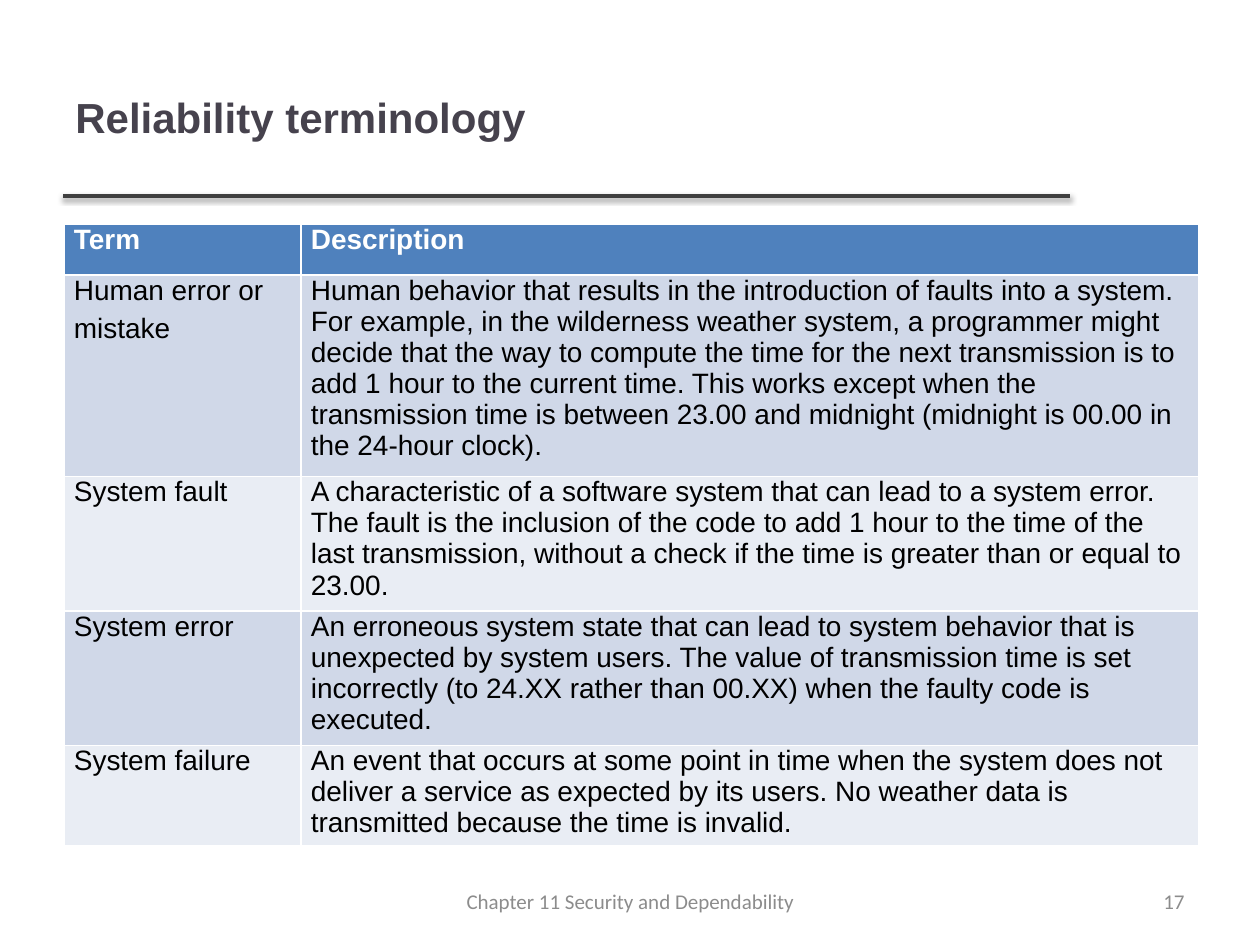
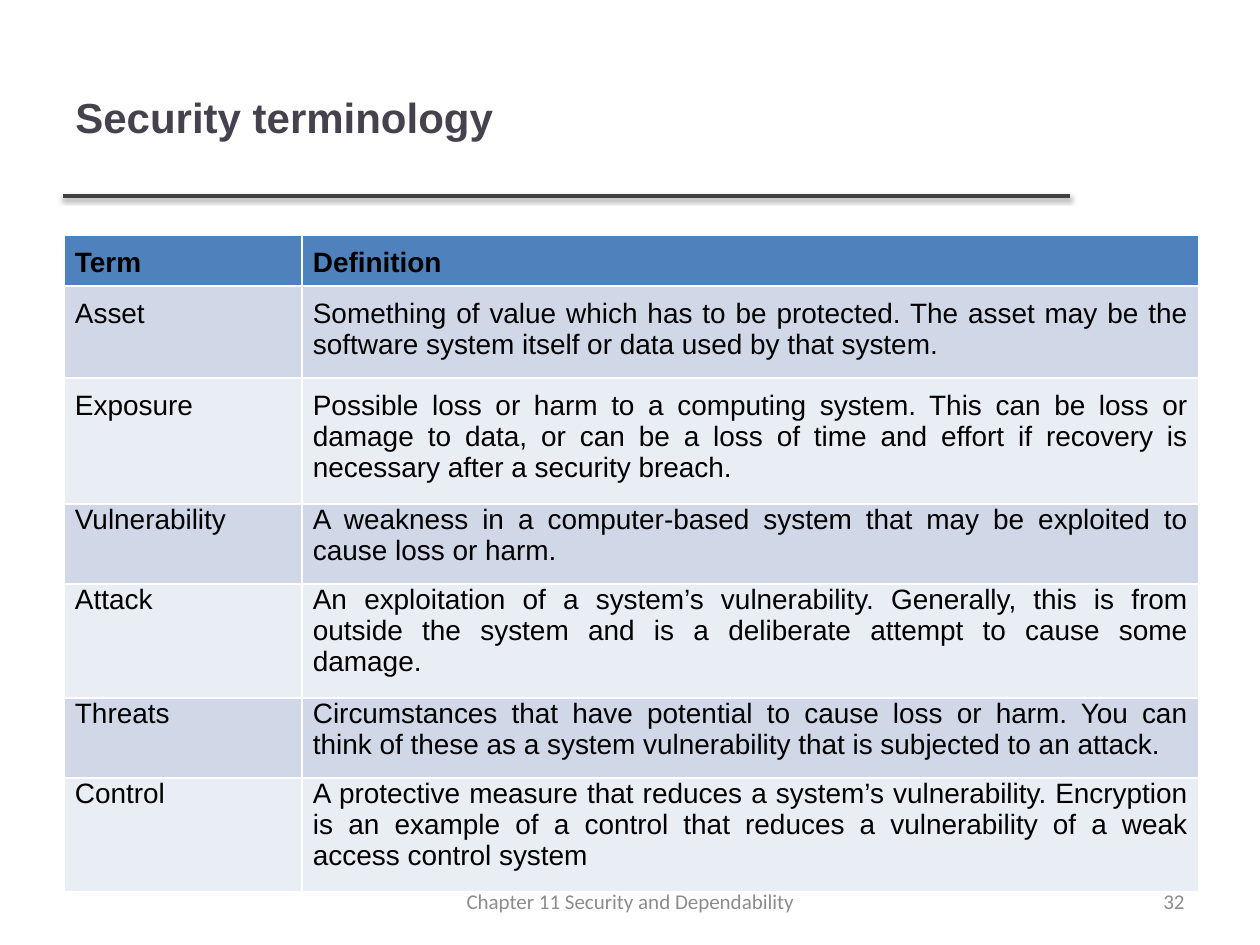
from lxml.etree import SubElement
from pptx import Presentation
from pptx.dml.color import RGBColor
from pptx.enum.shapes import MSO_CONNECTOR
from pptx.enum.text import MSO_ANCHOR as ANCHOR, PP_ALIGN as ALIGN
from pptx.oxml.ns import qn
from pptx.util import Emu, Pt

PX = 914400 / 126
WHITE = RGBColor(0xFF, 0xFF, 0xFF)
BLACK = RGBColor(0x00, 0x00, 0x00)
TITLE = RGBColor(0x46, 0x42, 0x4D)
RULE = RGBColor(0x40, 0x40, 0x40)
FOOTER = RGBColor(0x8C, 0x8C, 0x8C)
HEADER = RGBColor(0x4F, 0x81, 0xBD)
BANDS = (RGBColor(0xD0, 0xD8, 0xE8), RGBColor(0xE9, 0xED, 0xF4))

TABLE_LEFT, TABLE_WIDTH, ROW_HEIGHT = 64, 1135, 51
TOP_PAD = 12

RELIABILITY = [
    ("Term", "Description"),
    ("Human error or\nmistake",
     "Human behavior that results in the introduction of faults into a system. "
     "For example, in the wilderness weather system, a programmer might decide "
     "that the way to compute the time for the next transmission is to add 1 hour "
     "to the current time. This works except when the transmission time is between "
     "23.00 and midnight (midnight is 00.00 in the 24-hour clock)."),
    ("System fault",
     "A characteristic of a software system that can lead to a system error. The "
     "fault is the inclusion of the code to add 1 hour to the time of the last "
     "transmission, without a check if the time is greater than or equal to 23.00."),
    ("System error",
     "An erroneous system state that can lead to system behavior that is unexpected "
     "by system users. The value of transmission time is set incorrectly (to 24.XX "
     "rather than 00.XX) when the faulty code is executed."),
    ("System failure",
     "An event that occurs at some point in time when the system does not deliver a "
     "service as expected by its users. No weather data is transmitted because the "
     "time is invalid."),
]
SECURITY = [
    ("Term", "Definition"),
    ("Asset",
     "Something of value which has to be protected. The asset may be the software "
     "system itself or data used by that system."),
    ("Exposure",
     "Possible loss or harm to a computing system. This can be loss or damage to "
     "data, or can be a loss of time and effort if recovery is necessary after a "
     "security breach."),
    ("Vulnerability",
     "A weakness in a computer-based system that may be exploited to cause loss or "
     "harm."),
    ("Attack",
     "An exploitation of a system’s vulnerability. Generally, this is from outside "
     "the system and is a deliberate attempt to cause some damage."),
    ("Threats",
     "Circumstances that have potential to cause loss or harm. You can think of "
     "these as a system vulnerability that is subjected to an attack."),
    ("Control",
     "A protective measure that reduces a system’s vulnerability. Encryption is an "
     "example of a control that reduces a vulnerability of a weak access control "
     "system"),
]


def px(n):
    """Turn pixels into EMU."""
    return Emu(round(n * PX))


def format_text(tf, size, color, font="Arial", bold=False, align=ALIGN.LEFT, after=0):
    """Format every paragraph and run of a text frame."""
    for p in tf.paragraphs:
        p.alignment = align
        p.space_after = Pt(after)
        for r in p.runs:
            r.font.name, r.font.size, r.font.bold = font, Pt(size), bold
            r.font.color.rgb = color


def add_text(slide, box, text, size, color, **style):
    """Add a vertically centred text box."""
    tf = slide.shapes.add_textbox(*map(px, box)).text_frame
    tf.word_wrap = True
    tf.vertical_anchor = ANCHOR.MIDDLE
    tf.text = text
    format_text(tf, size, color, **style)


def add_rule(slide):
    """Draw the shadowed line under the title."""
    line = slide.shapes.add_connector(
        MSO_CONNECTOR.STRAIGHT, px(63), px(196), px(1070), px(196))
    line.line.color.rgb = RULE
    line.line.width = Pt(2)
    effects = SubElement(line._element.spPr, qn("a:effectLst"))
    shadow = SubElement(effects, qn("a:outerShdw"), blurRad=str(Pt(3.1)),
                        dist=str(Pt(1.6)), dir="5400000", rotWithShape="0")
    color = SubElement(shadow, qn("a:srgbClr"), val=str(BLACK))
    SubElement(color, qn("a:alpha"), val="38000")


def set_borders(cell):
    """Give a cell thin white borders."""
    tcPr = cell._tc.get_or_add_tcPr()
    for side in "LRTB":
        ln = SubElement(tcPr, qn(f"a:ln{side}"), w=str(Pt(1)))
        fill = SubElement(ln, qn("a:solidFill"))
        SubElement(fill, qn("a:srgbClr"), val=str(WHITE))


def add_terms(slide, rows, top, term_width, header_color, side_pad,
              padded_tops=0, bottom_pad=0, align=ALIGN.LEFT, after=0):
    """Add a two-column table; its rows grow to fit their text."""
    table = slide.shapes.add_table(len(rows), 2, px(TABLE_LEFT), px(top),
                                   px(TABLE_WIDTH), px(ROW_HEIGHT * len(rows))).table
    table.columns[0].width = px(term_width)
    table.columns[1].width = px(TABLE_WIDTH - term_width)
    for i, texts in enumerate(rows):
        header = i == 0
        for cell, text in zip(table.rows[i].cells, texts):
            set_borders(cell)
            cell.fill.solid()
            cell.fill.fore_color.rgb = HEADER if header else BANDS[(i - 1) % 2]
            cell.margin_left = cell.margin_right = px(side_pad)
            cell.margin_top = px(TOP_PAD if i < padded_tops else 0)
            cell.margin_bottom = px(0 if header else bottom_pad)
            cell.text_frame.text = text
            format_text(cell.text_frame, 16, header_color if header else BLACK,
                        bold=header, align=align, after=0 if header else after)


def add_slide(prs, title, number):
    """Add a slide with the shared rule, title and footer."""
    slide = prs.slides.add_slide(prs.slide_layouts[6])
    add_rule(slide)
    add_text(slide, (63, 38, 1006, 157), title, 24, TITLE, bold=True)
    add_text(slide, (903, 876, 294, 50), str(number), 12, FOOTER,
             font="Calibri", align=ALIGN.RIGHT)
    add_text(slide, (431, 876, 399, 50), "Chapter 11 Security and Dependability",
             12, FOOTER, font="Calibri", align=ALIGN.CENTER)
    return slide


def main():
    """Build both terminology slides."""
    prs = Presentation()
    prs.slide_width, prs.slide_height = px(1260), px(945)
    add_terms(add_slide(prs, "Reliability terminology", 17), RELIABILITY,
              top=224, term_width=237, header_color=WHITE, side_pad=10, after=4)
    add_terms(add_slide(prs, "Security terminology", 32), SECURITY,
              top=235, term_width=238, header_color=BLACK, side_pad=11,
              padded_tops=3, bottom_pad=13, align=ALIGN.JUSTIFY)
    prs.save("out.pptx")


main()
